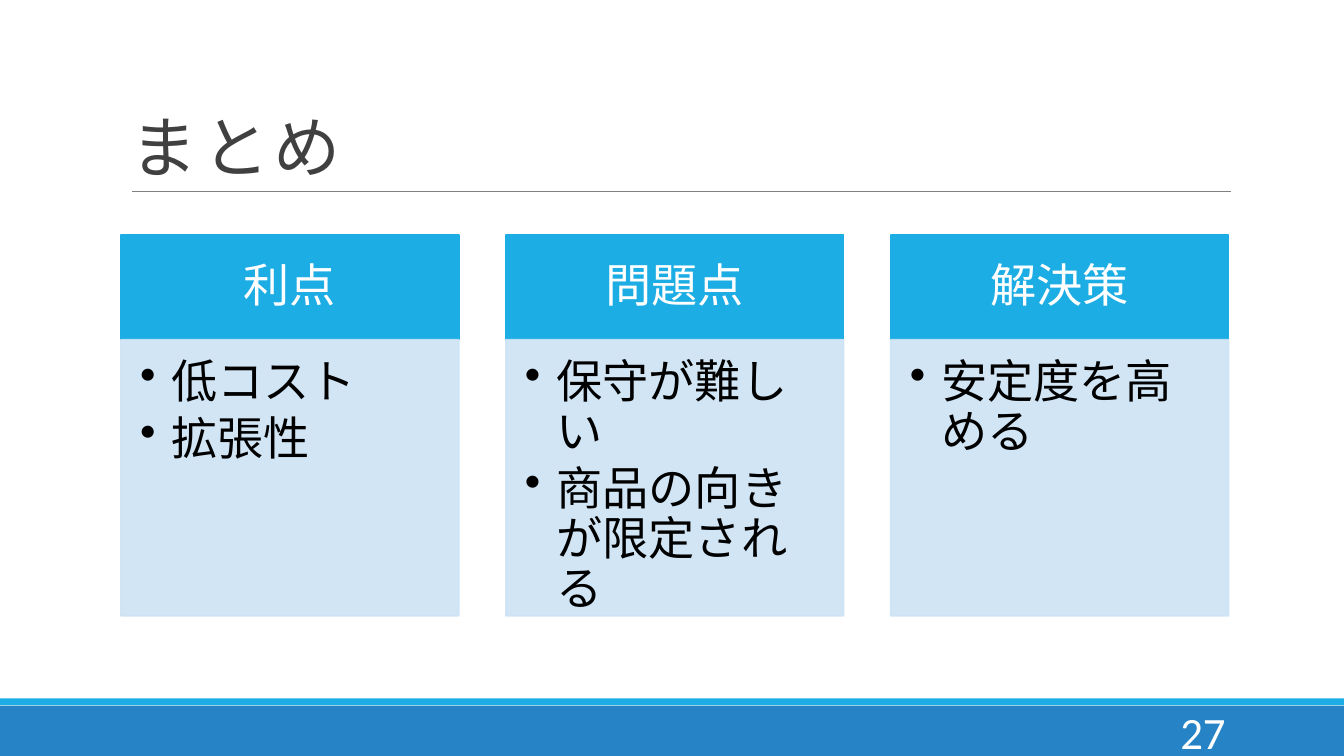
import dataclasses

import lxml.etree
import pptx
import pptx.dml.color
import pptx.enum.shapes
import pptx.enum.text
import pptx.oxml.ns
import pptx.util
from pptx.util import Cm, Pt

COLOURS = {
    "stripe": "1CADE4",
    "footer": "2683C6",
    "panel": "CDE3F5",
    "rule": "808080",
    "title": "404040",
    "text": "000000",
    "light": "FFFFFF",
}
FONT = "Calibri"
COLUMN_LEFT, COLUMN_PITCH, COLUMN_WIDTH = 3.05, 9.7, 8.51
HEADING_TOP, HEADING_HEIGHT, PANEL_HEIGHT = 5.92, 2.64, 6.96
BULLET_INDENT = 0.79


@dataclasses.dataclass
class Column:
    heading: str
    points: list[str]


COLUMNS = [
    Column("利点", ["低コスト", "拡張性"]),
    Column("問題点", ["保守が難しい", "商品の向きが限定される"]),
    Column("解決策", ["安定度を高める"]),
]


def colour(name: str) -> pptx.dml.color.RGBColor:
    return pptx.dml.color.RGBColor.from_string(COLOURS[name])


def add_box(page, left: float, top: float, width: float, height: float,
            fill: str, outlined: bool = False):
    box = page.shapes.add_shape(pptx.enum.shapes.MSO_SHAPE.RECTANGLE,
                                Cm(left), Cm(top), Cm(width), Cm(height))
    box.shadow.inherit = False
    box.fill.solid()
    box.fill.fore_color.rgb = colour(fill)
    if outlined:
        box.line.color.rgb = colour(fill)
        box.line.width = Pt(1.25)
    else:
        box.line.fill.background()
    return box


def set_frame(frame, anchor, left: float, top: float, right: float, bottom: float) -> None:
    """Wrap the text and set its anchor and its insets in centimetres."""
    frame.word_wrap = True
    frame.vertical_anchor = anchor
    frame.margin_left, frame.margin_top = Cm(left), Cm(top)
    frame.margin_right, frame.margin_bottom = Cm(right), Cm(bottom)


def style_paragraph(para, size: float, ink: str, align, line_spacing: float = 1.0) -> None:
    para.alignment = align
    para.line_spacing = line_spacing
    para.font.name = FONT
    para.font.size = Pt(size)
    para.font.color.rgb = colour(ink)


def add_bullet(para) -> None:
    properties = para._p.get_or_add_pPr()
    properties.set("marL", str(Cm(BULLET_INDENT)))
    properties.set("indent", str(-Cm(BULLET_INDENT)))
    bullet = lxml.etree.SubElement(properties, pptx.oxml.ns.qn("a:buChar"))
    bullet.set("char", "•")


def make_translucent(box, percent: int) -> None:
    """Give the fill and the outline the same opacity."""
    for shade in box._element.spPr.iter(pptx.oxml.ns.qn("a:srgbClr")):
        alpha = lxml.etree.SubElement(shade, pptx.oxml.ns.qn("a:alpha"))
        alpha.set("val", str(percent * 1000))


def add_column(page, column: Column, left: float) -> None:
    align = pptx.enum.text.PP_ALIGN
    anchor = pptx.enum.text.MSO_ANCHOR
    heading = add_box(page, left, HEADING_TOP, COLUMN_WIDTH, HEADING_HEIGHT, "stripe", True)
    set_frame(heading.text_frame, anchor.MIDDLE, 0.66, 0.38, 0.66, 0.38)
    heading.text_frame.text = column.heading
    style_paragraph(heading.text_frame.paragraphs[0], 33, "light", align.CENTER, 0.9)

    panel = add_box(page, left, HEADING_TOP + HEADING_HEIGHT, COLUMN_WIDTH,
                    PANEL_HEIGHT, "panel", True)
    make_translucent(panel, 90)
    set_frame(panel.text_frame, anchor.TOP, 0.48, 0.48, 0.66, 0.74)
    panel.text_frame.text = "\n".join(column.points)
    for para in panel.text_frame.paragraphs:
        add_bullet(para)
        style_paragraph(para, 33, "text", align.LEFT, 0.9)
        para.space_after = Pt(5)


def add_title(page) -> None:
    title = page.shapes.title
    title.left, title.top, title.width, title.height = Cm(3.05), Cm(0.79), Cm(27.94), Cm(4.04)
    title.text_frame.text = "まとめ"
    set_frame(title.text_frame, pptx.enum.text.MSO_ANCHOR.BOTTOM, 0.25, 0.13, 0.25, 0.13)
    para = title.text_frame.paragraphs[0]
    style_paragraph(para, 48, "title", pptx.enum.text.PP_ALIGN.LEFT, 0.85)
    para._p.pPr.find(pptx.oxml.ns.qn("a:defRPr")).set("spc", "300")


def add_title_rule(page) -> None:
    rule = page.shapes.add_connector(pptx.enum.shapes.MSO_CONNECTOR.STRAIGHT,
                                     Cm(3.33), Cm(4.83), Cm(31.01), Cm(4.83))
    rule.line.color.rgb = colour("rule")
    rule.line.width = Pt(0.5)
    lxml.etree.SubElement(rule._element.spPr, pptx.oxml.ns.qn("a:effectLst"))


def add_page_number(page) -> None:
    box = page.shapes.add_textbox(Cm(27.51), Cm(17.93), Cm(3.63), Cm(1.02))
    set_frame(box.text_frame, pptx.enum.text.MSO_ANCHOR.MIDDLE, 0.25, 0.13, 0.25, 0.13)
    box.text_frame.text = "27"
    style_paragraph(box.text_frame.paragraphs[0], 32, "light", pptx.enum.text.PP_ALIGN.RIGHT)


def main() -> None:
    deck = pptx.Presentation()
    deck.slide_width, deck.slide_height = Cm(33.87), Cm(19.05)
    page = deck.slides.add_slide(deck.slide_layouts.get_by_name("Title Only"))
    add_box(page, 0, 17.78, 33.87, 1.27, "footer")
    add_box(page, 0, 17.6, 33.87, 0.17, "stripe")
    add_title_rule(page)
    add_title(page)
    for index, column in enumerate(COLUMNS):
        add_column(page, column, COLUMN_LEFT + index * COLUMN_PITCH)
    add_page_number(page)
    deck.save("out.pptx")


if __name__ == "__main__":
    main()
